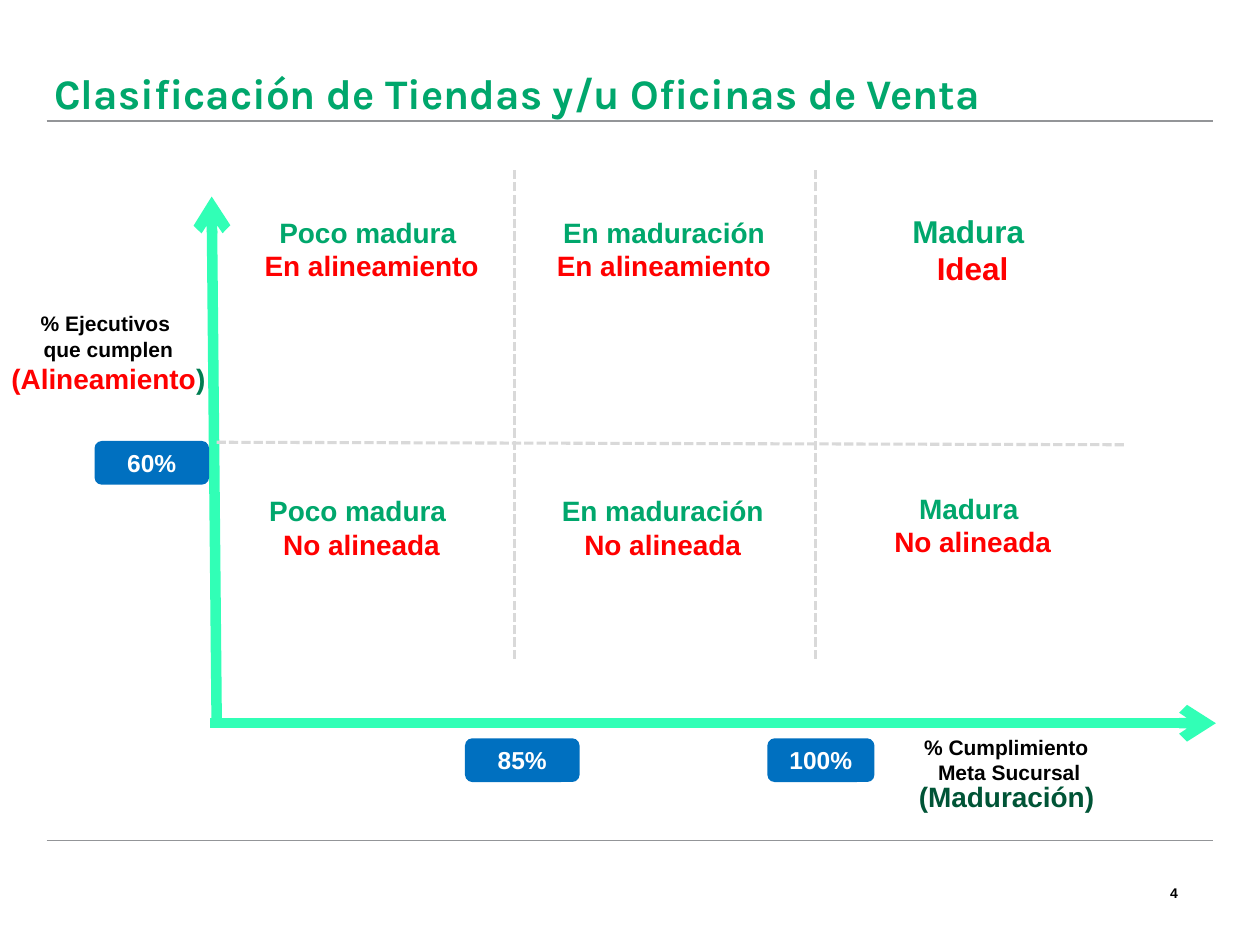
from lxml import etree
from pptx import Presentation
from pptx.dml.color import RGBColor
from pptx.enum.dml import MSO_LINE
from pptx.enum.shapes import MSO_CONNECTOR, MSO_SHAPE
from pptx.enum.text import MSO_ANCHOR, MSO_AUTO_SIZE, PP_ALIGN
from pptx.oxml.ns import qn
from pptx.util import Pt

STRAIGHT = MSO_CONNECTOR.STRAIGHT
ROUNDED = MSO_SHAPE.ROUNDED_RECTANGLE
DASH = MSO_LINE.SQUARE_DOT
MIDDLE, TOP = MSO_ANCHOR.MIDDLE, MSO_ANCHOR.TOP
CENTER, RIGHT, JUSTIFY = PP_ALIGN.CENTER, PP_ALIGN.RIGHT, PP_ALIGN.JUSTIFY
NO_FIT = MSO_AUTO_SIZE.NONE

COLORS = {
    "green": "00A76C", "mid": "007D51", "deep": "005436", "mint": "31FFB6",
    "red": "FF0000", "blue": "0070C0", "black": "000000", "white": "FFFFFF",
    "rule": "939598", "grid": "D9D9D9",
}
COLORS = {name: RGBColor.from_string(value) for name, value in COLORS.items()}


def write(frame, lines, align=CENTER, anchor=TOP, wrap=True, inset=None, font="Arial"):
    layout = {"auto_size": NO_FIT, "word_wrap": wrap, "vertical_anchor": anchor}
    if inset is not None:
        for side in ("left", "top", "right", "bottom"):
            layout["margin_" + side] = Pt(inset)
    for key, value in layout.items():
        setattr(frame, key, value)
    for number, line in enumerate(lines):
        paragraph = frame.add_paragraph() if number else frame.paragraphs[0]
        paragraph.alignment = align
        for text, size, color in line:
            run = paragraph.add_run()
            run.text = text
            for key, value in {"name": font, "size": Pt(size), "bold": True}.items():
                setattr(run.font, key, value)
            run.font.color.rgb = COLORS[color]


def draw_line(shapes, ends, color, width, dash=None, arrow=False):
    connector = shapes.add_connector(STRAIGHT, *map(Pt, ends))
    connector.line.color.rgb = COLORS[color]
    connector.line.width = Pt(width)
    if dash:
        connector.line.dash_style = dash
    if arrow:
        outline = connector.line._get_or_add_ln()
        etree.SubElement(outline, qn("a:tailEnd"), type="arrow")
    etree.SubElement(connector._element.spPr, qn("a:effectLst"))


prs = Presentation()
prs.slide_width, prs.slide_height = Pt(720), Pt(540)
slide = prs.slides.add_slide(prs.slide_layouts[5])
shapes = slide.shapes

for y in (480.24, 69.12):
    draw_line(shapes, (26.64, y, 693.36, y), "rule", 1)

title = shapes.title
title_box = {"left": 31, "top": 1.5, "width": 669, "height": 103.5}
for key, value in title_box.items():
    setattr(title, key, Pt(value))
write(title.text_frame, [[("Clasificación de Tiendas y/u Oficinas de Venta", 24, "green")]],
      JUSTIFY, MIDDLE, inset=0, font="Karla")

page_number = shapes.add_textbox(Pt(658.8), Pt(503.3), Pt(14.4), Pt(14.4))
write(page_number.text_frame, [[("4", 8, "black")]], RIGHT, MIDDLE, wrap=False, inset=0)

axes = shapes.add_group_shape().shapes
for ends in ((120.24, 413.28, 694.8, 413.28), (123.84, 413.28, 120.96, 112.32)):
    draw_line(axes, ends, "mint", 6, arrow=True)

axis_labels = [
    (499.7, 416.2, 154, 36, [[("% Cumplimiento ", 12, "black")],
                             [("Meta Sucursal", 12, "black")]]),
    (498.2, 442.1, 154, 26.6, [[("(Maduración)", 16, "deep")]]),
    (-5.8, 174.2, 135.4, 55.4, [[("% Ejecutivos ", 12, "black")],
                                [("que cumplen", 12, "black")],
                                [("(Alineamiento", 16, "red"), (")", 16, "mid")]]),
]
for left, top, width, height, lines in axis_labels:
    label = shapes.add_textbox(Pt(left), Pt(top), Pt(width), Pt(height))
    write(label.text_frame, lines)

quadrants = [
    (135.4, 119.5, "Poco madura ", "En alineamiento", 16),
    (302.4, 119.5, "En maduración", "En alineamiento", 16),
    (478.8, 117.4, "Madura ", "Ideal", 18),
    (129.6, 278.6, "Poco madura ", "No alineada", 16),
    (301.7, 278.6, "En maduración", "No alineada", 16),
    (478.8, 277.2, "Madura ", "No alineada", 16),
]
for left, top, maturity, alignment, size in quadrants:
    quadrant = shapes.add_textbox(Pt(left), Pt(top), Pt(154), Pt(46))
    write(quadrant.text_frame, [[(maturity, size, "green")], [(alignment, size, "red")]])

dividers = [(x, 376.56, x, 95.76) for x in (293.76, 465.84)]
dividers.append((123.84, 252.72, 643.68, 254.16))
for ends in dividers:
    draw_line(shapes, ends, "grid", 1.75, dash=DASH)

thresholds = [
    ("100%", 438.5, 421.9, 61.2),
    ("85%", 265.7, 421.9, 65.5),
    ("60%", 54, 252, 65.5),
]
for text, left, top, width in thresholds:
    badge = shapes.add_shape(ROUNDED, Pt(left), Pt(top), Pt(width), Pt(25))
    badge.shadow.inherit = False
    badge.fill.solid()
    badge.fill.fore_color.rgb = COLORS["blue"]
    badge.line.fill.background()
    write(badge.text_frame, [[(text, 14, "white")]], anchor=MIDDLE)

prs.save("out.pptx")
